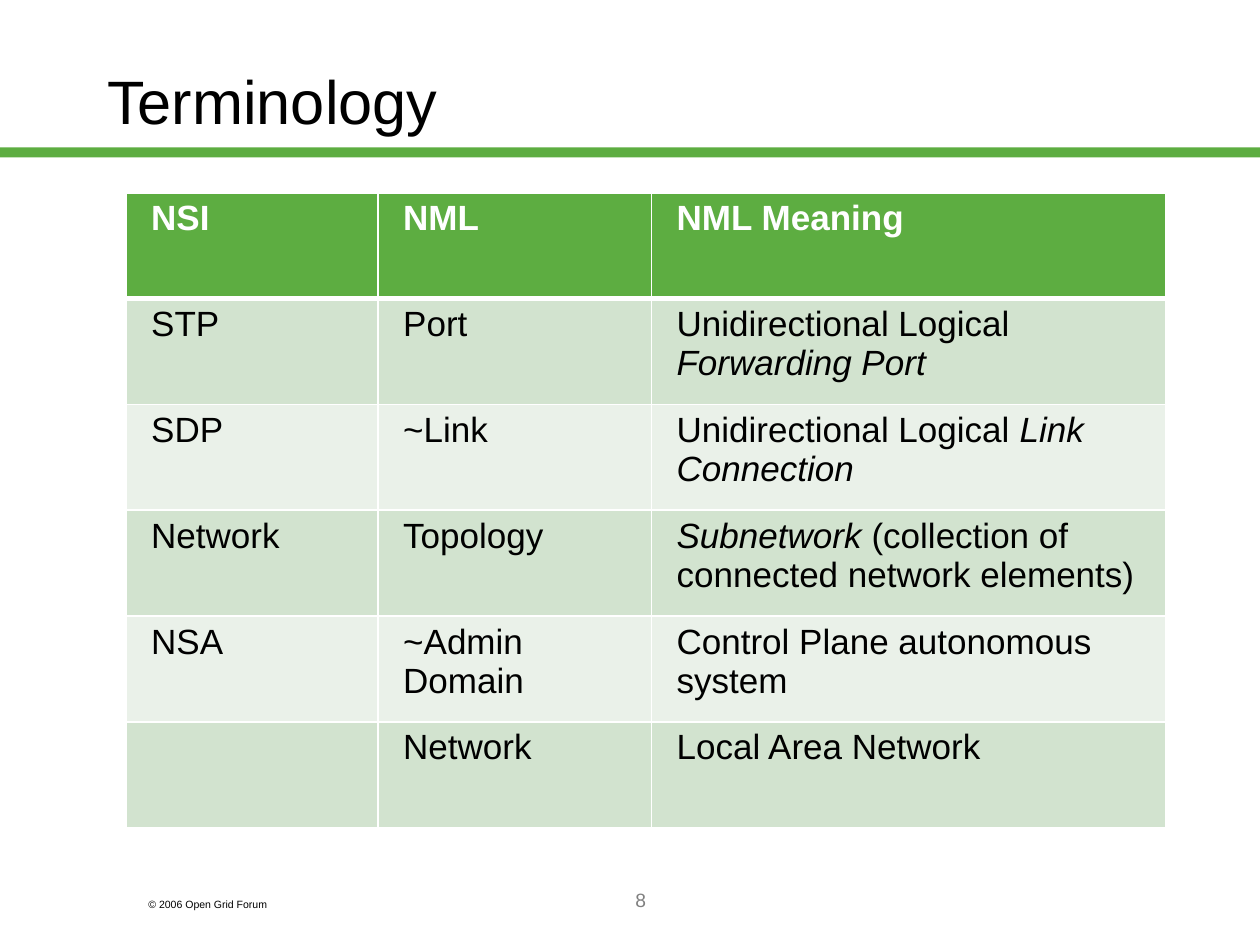
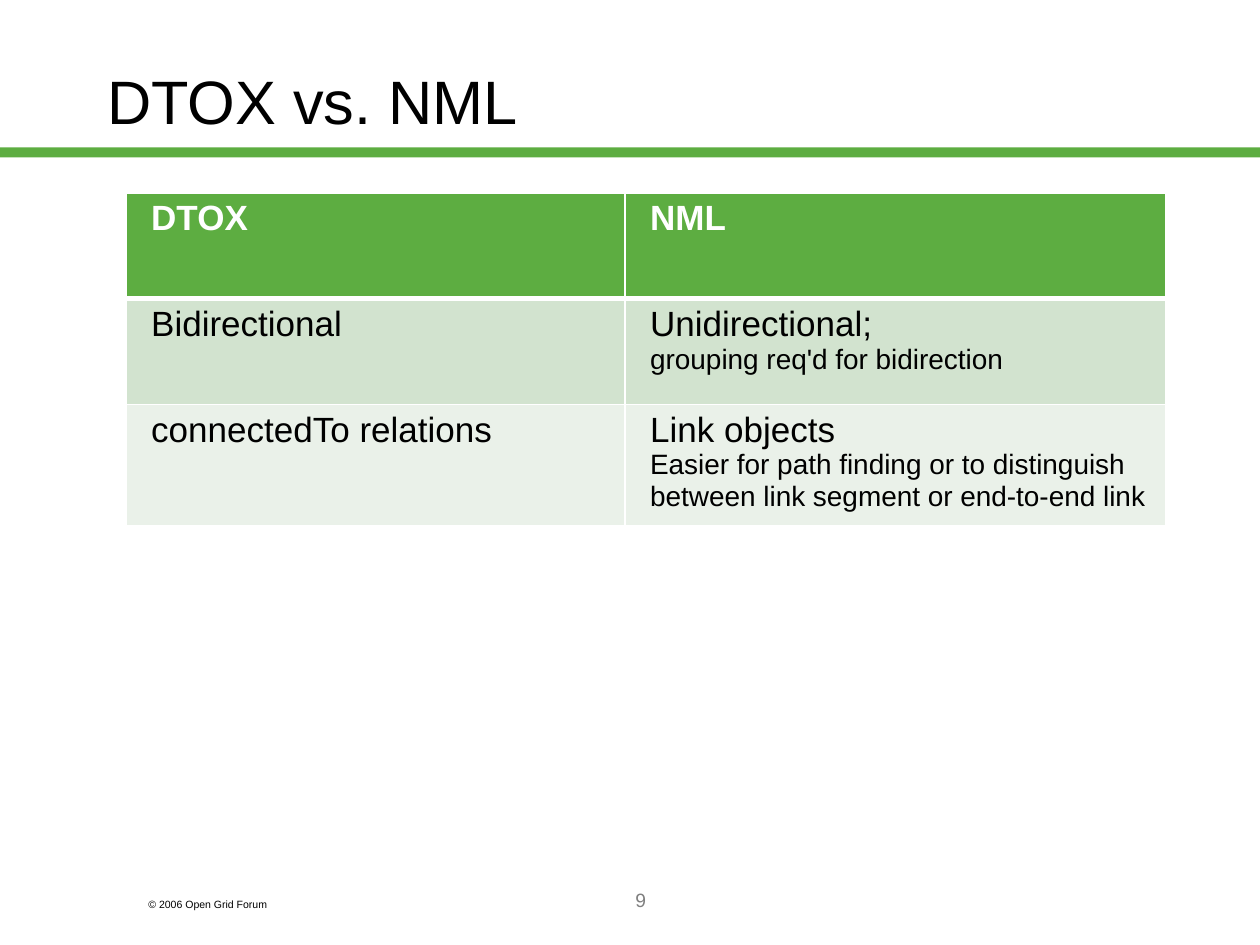
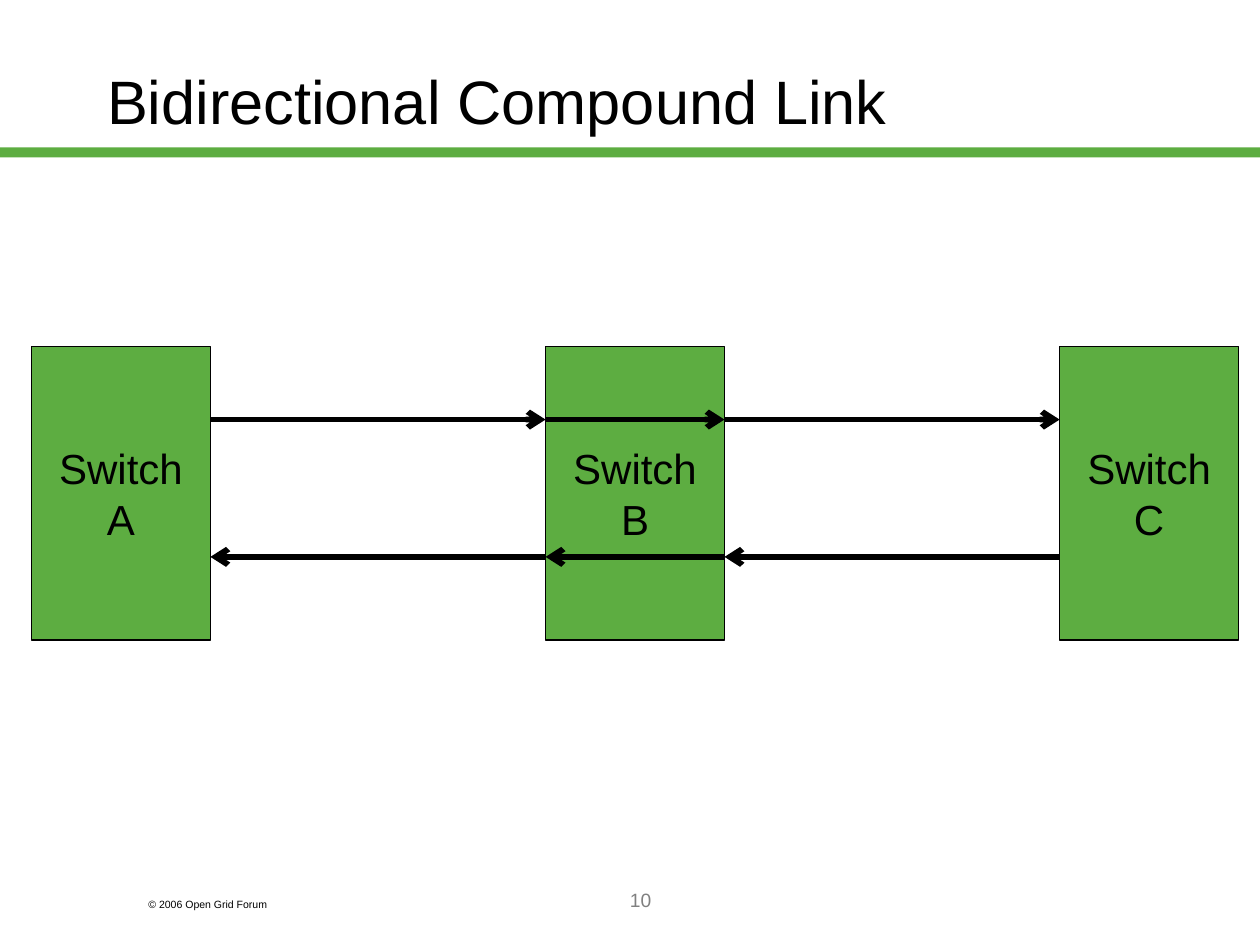
"""Build three slides comparing network terminology and showing a compound link."""
from itertools import pairwise

from lxml import etree
from pptx import Presentation
from pptx import util as u
from pptx.dml.color import RGBColor
from pptx.enum import shapes, text
from pptx.oxml.ns import qn

FONT = "Arial"
GREEN, BLACK, WHITE, GREY = "5DAD41", "000000", "FFFFFF", "808080"
STRIPES = ("D2E3CF", "EAF1E9")
FIRST_NUMBER = 8
COPYRIGHT = "© 2006 Open Grid Forum"

# Asterisks enclose italics; a line break starts a smaller note.
TABLES = [
    ("Terminology", (2, 2.17, 4.08), [
        ("NSI", "NML", "NML Meaning"),
        ("STP", "Port", "Unidirectional Logical *Forwarding Port*"),
        ("SDP", "~Link", "Unidirectional Logical *Link Connection*"),
        ("Network", "Topology", "*Subnetwork *(collection of connected network elements)"),
        ("NSA", "~Admin Domain", "Control Plane autonomous system"),
        ("", "Network", "Local Area Network"),
    ]),
    ("DTOX vs. NML", (3.96, 4.29), [
        ("DTOX", "NML"),
        ("Bidirectional", "Unidirectional; \ngrouping req'd for bidirection"),
        ("connectedTo relations",
         "Link objects\nEasier for path finding or to distinguish "
         "between link segment or end-to-end link"),
    ]),
]
LINK_TITLE = "Bidirectional Compound Link"
SWITCHES = ("Switch A", "Switch B", "Switch C")

TABLE_LEFT, TABLE_TOP, ROW_HEIGHT = 1, 1.53, 0.84
LINE_SIZES = (20, 16)
SWITCH_LEFT, SWITCH_TOP, SWITCH_PITCH = 0.25, 2.75, 4.08
SWITCH_WIDTH, SWITCH_HEIGHT = 1.42, 2.33
FORWARD_Y, BACKWARD_Y = 3.33, 4.42


def color(value):
    return RGBColor.from_string(value)


def inches(*lengths):
    return [u.Inches(length) for length in lengths]


def style(font, size, value, bold=False, italic=False):
    font.name, font.size, font.bold, font.italic = FONT, u.Pt(size), bold, italic
    font.color.rgb = color(value)


def write(frame, words, size, value=BLACK, align=text.PP_ALIGN.LEFT):
    frame.word_wrap = True
    frame.text = words
    paragraph = frame.paragraphs[0]
    paragraph.alignment = align
    style(paragraph.runs[0].font, size, value)


def add_box(slide, place, line=None):
    box = slide.shapes.add_shape(shapes.MSO_SHAPE.RECTANGLE, *inches(*place))
    box.shadow.inherit = False
    box.fill.solid()
    box.fill.fore_color.rgb = color(GREEN)
    if line:
        box.line.color.rgb = color(line)
        box.line.width = u.Pt(0.75)
    else:
        box.line.fill.background()
    return box


def add_slide(deck, title):
    slide = deck.slides.add_slide(deck.slide_layouts.get_by_name("Title Only"))
    heading = slide.shapes.title
    heading.left, heading.top, heading.width, heading.height = inches(0.75, 0.17, 8.5, 1.25)
    write(heading.text_frame, title, 35)
    heading.text_frame.vertical_anchor = text.MSO_ANCHOR.MIDDLE
    add_box(slide, (0, 1.17, 10, 0.08))
    footer = slide.shapes.add_textbox(*inches(1.08, 7.08, 1.5, 0.2))
    write(footer.text_frame, COPYRIGHT, 6)
    number = slide.shapes.add_textbox(*inches(2.17, 7, 5.83, 0.5))
    write(number.text_frame, str(FIRST_NUMBER + len(deck.slides) - 1), 11, GREY,
          text.PP_ALIGN.CENTER)
    return slide


def set_borders(cell, top, bottom):
    properties = cell._tc.get_or_add_tcPr()
    for side, width in (("L", 1), ("R", 1), ("T", top), ("B", bottom)):
        border = etree.SubElement(properties, qn(f"a:ln{side}"), w=str(u.Pt(width)))
        fill = etree.SubElement(border, qn("a:solidFill"))
        etree.SubElement(fill, qn("a:srgbClr"), val=WHITE)


def fill_cell(cell, entry, row):
    header = row == 0
    set_borders(cell, 3 if row == 1 else 1, 3 if header else 1)
    cell.fill.solid()
    cell.fill.fore_color.rgb = color(GREEN if header else STRIPES[(row - 1) % 2])
    cell.margin_left = u.Inches(0.2)
    paragraph = cell.text_frame.paragraphs[0]
    for line_number, line in enumerate(entry.split("\n")):
        if line_number:
            paragraph.add_line_break()
        for position, piece in enumerate(line.split("*")):
            if piece:
                run = paragraph.add_run()
                run.text = piece
                style(run.font, LINE_SIZES[line_number], WHITE if header else BLACK,
                      bold=header, italic=position % 2 == 1)


def add_terms(slide, widths, rows):
    place = inches(TABLE_LEFT, TABLE_TOP, sum(widths), ROW_HEIGHT * len(rows))
    terms = slide.shapes.add_table(len(rows), len(widths), *place).table
    for column, width in zip(terms.columns, widths):
        column.width = u.Inches(width)
    for row, entries in enumerate(rows):
        for column, entry in enumerate(entries):
            fill_cell(terms.cell(row, column), entry, row)


def add_arrow(slide, start, end, y):
    arrow = slide.shapes.add_connector(shapes.MSO_CONNECTOR.STRAIGHT, *inches(start, y, end, y))
    arrow.line.color.rgb = color(BLACK)
    arrow.line.width = u.Pt(3.25)
    properties = arrow.element.spPr
    etree.SubElement(properties.find(qn("a:ln")), qn("a:tailEnd"), type="arrow")
    etree.SubElement(properties, qn("a:effectLst"))


def add_link(slide):
    edges = []
    for position, name in enumerate(SWITCHES):
        left = SWITCH_LEFT + position * SWITCH_PITCH
        switch = add_box(slide, (left, SWITCH_TOP, SWITCH_WIDTH, SWITCH_HEIGHT), BLACK)
        write(switch.text_frame, name, 24, align=text.PP_ALIGN.CENTER)
        switch.text_frame.vertical_anchor = text.MSO_ANCHOR.MIDDLE
        edges += [left, left + SWITCH_WIDTH]
    for start, end in pairwise(edges[1:-1]):
        add_arrow(slide, start, end, FORWARD_Y)
        add_arrow(slide, end, start, BACKWARD_Y)


def main():
    deck = Presentation()
    deck.slide_width, deck.slide_height = inches(10, 7.5)
    for title, widths, rows in TABLES:
        add_terms(add_slide(deck, title), widths, rows)
    add_link(add_slide(deck, LINK_TITLE))
    deck.save("out.pptx")


if __name__ == "__main__":
    main()
